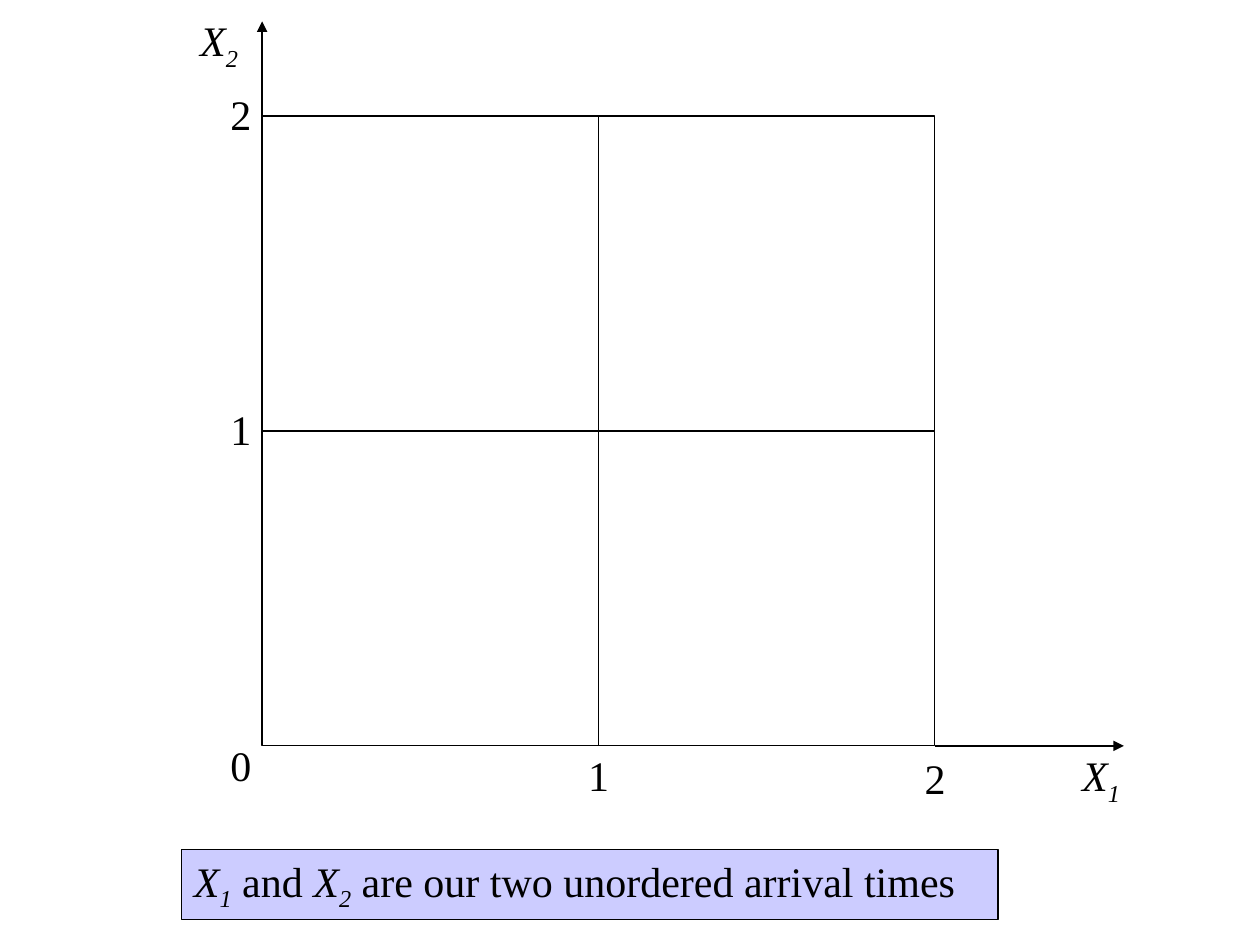
from lxml import etree
from pptx import Presentation
from pptx.dml.color import RGBColor
from pptx.enum.shapes import MSO_CONNECTOR, MSO_SHAPE
from pptx.enum.text import MSO_ANCHOR, MSO_AUTO_SIZE, PP_ALIGN
from pptx.oxml.ns import qn
from pptx.util import Inches, Pt

RECTANGLE = MSO_SHAPE.RECTANGLE
STRAIGHT = MSO_CONNECTOR.STRAIGHT
TOP = MSO_ANCHOR.TOP
FIT_SHAPE = MSO_AUTO_SIZE.SHAPE_TO_FIT_TEXT
LEFT = PP_ALIGN.LEFT

FONT = "Times New Roman"
BLACK = "000000"
LAVENDER = "CCCCFF"
ORIGIN_X, ORIGIN_Y = 2.08, 5.92
UNIT_X, UNIT_Y = 2.67, 2.5
TICK_WIDTH, TICK_HEIGHT = 0.36, 0.5
TICK_LEFT = 1.73


def color(hex_value):
    """Return the colour for a hex string."""
    return RGBColor.from_string(hex_value)


def outline(line):
    """Give a line the thin black style of the diagram."""
    line.color.rgb = color(BLACK)
    line.width = Pt(0.75)


def add_box(slide, left, top, width, height, fill=None):
    """Add an outlined rectangle, hollow unless a fill is given."""
    box = slide.shapes.add_shape(
        RECTANGLE, Inches(left), Inches(top), Inches(width), Inches(height))
    box.shadow.inherit = False
    if fill:
        box.fill.solid()
        box.fill.fore_color.rgb = color(fill)
    else:
        box.fill.background()
    outline(box.line)
    return box


def add_axis(slide, start, end):
    """Add an axis line with a triangle arrowhead at its end."""
    axis = slide.shapes.add_connector(
        STRAIGHT, *(Inches(length) for length in (*start, *end)))
    outline(axis.line)
    properties = axis.line._get_or_add_ln()
    etree.SubElement(properties, qn("a:tailEnd"), type="triangle")
    etree.SubElement(properties.getparent(), qn("a:effectLst"))


def write(frame, *parts, size=24, wrap=False, space_before=0):
    """Write plain strings and (symbol, subscript) pairs into a text frame."""
    frame.word_wrap = wrap
    frame.auto_size = FIT_SHAPE
    frame.vertical_anchor = TOP
    paragraph = frame.paragraphs[0]
    paragraph.alignment = LEFT
    paragraph.space_before = Pt(space_before)
    for part in parts:
        is_variable = isinstance(part, tuple)
        for position, text in enumerate(part if is_variable else (part,)):
            run = paragraph.add_run()
            run.text = text
            run.font.name = FONT
            run.font.size = Pt(size)
            run.font.italic = is_variable
            run.font.color.rgb = color(BLACK)
            if position == 1:
                run._r.get_or_add_rPr().set("baseline", "-25000")


def add_label(slide, part, left, top, width=TICK_WIDTH, height=TICK_HEIGHT):
    """Add an unwrapped label."""
    label = slide.shapes.add_textbox(
        Inches(left), Inches(top), Inches(width), Inches(height))
    write(label.text_frame, part)


def add_grid(slide):
    """Add the two by two grid of unit cells."""
    for row in (1, 2):
        for column in (0, 1):
            add_box(slide, ORIGIN_X + column * UNIT_X, ORIGIN_Y - row * UNIT_Y,
                    UNIT_X, UNIT_Y)


def add_ticks(slide):
    """Add the origin label and the numbers along both axes."""
    add_label(slide, "0", TICK_LEFT, 5.82)
    for value, top in ((1, 5.9), (2, 5.92)):
        center = ORIGIN_X + value * UNIT_X
        add_label(slide, str(value), center - TICK_WIDTH / 2, top)
        add_label(slide, str(value), TICK_LEFT, ORIGIN_Y - value * UNIT_Y - 0.27)


def main():
    """Build the slide with the arrival time square."""
    deck = Presentation()
    deck.slide_width, deck.slide_height = Inches(10), Inches(7.5)
    slide = deck.slides.add_slide(deck.slide_layouts[6])
    first, second = ("X", "1"), ("X", "2")

    add_grid(slide)
    add_axis(slide, (ORIGIN_X + 2 * UNIT_X, ORIGIN_Y), (8.92, ORIGIN_Y))
    add_axis(slide, (ORIGIN_X, ORIGIN_Y - 2 * UNIT_Y), (ORIGIN_X, 0.17))
    add_label(slide, first, 8.49, 5.9, 0.5, 0.56)
    add_label(slide, second, 1.49, 0.07, 0.5, 0.56)
    add_ticks(slide)

    caption = add_box(slide, 1.44, 6.74, 6.48, 0.56, fill=LAVENDER)
    write(caption.text_frame, first, " and ", second,
          " are our two unordered arrival times", wrap=True, space_before=15)
    deck.save("out.pptx")


if __name__ == "__main__":
    main()
